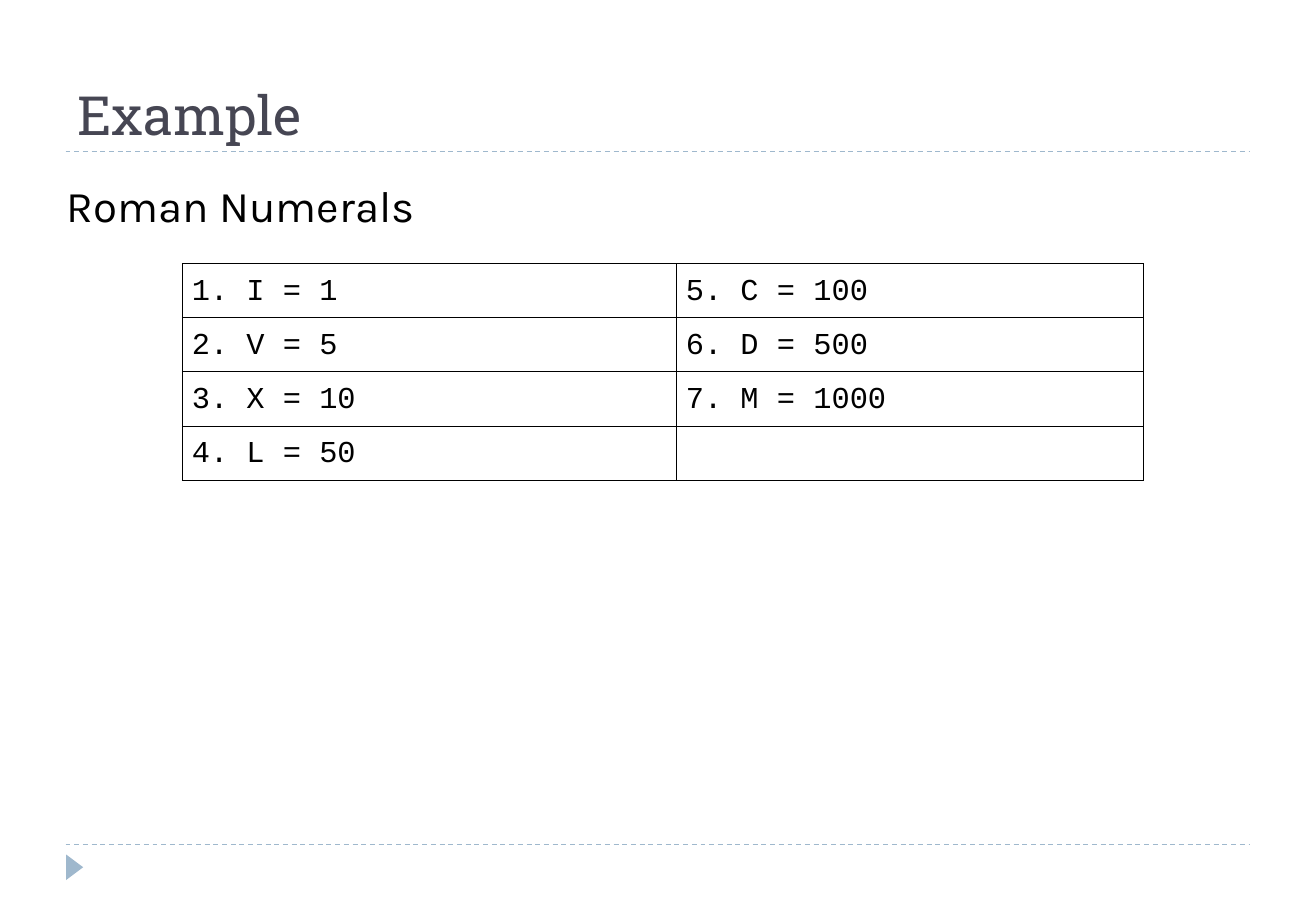
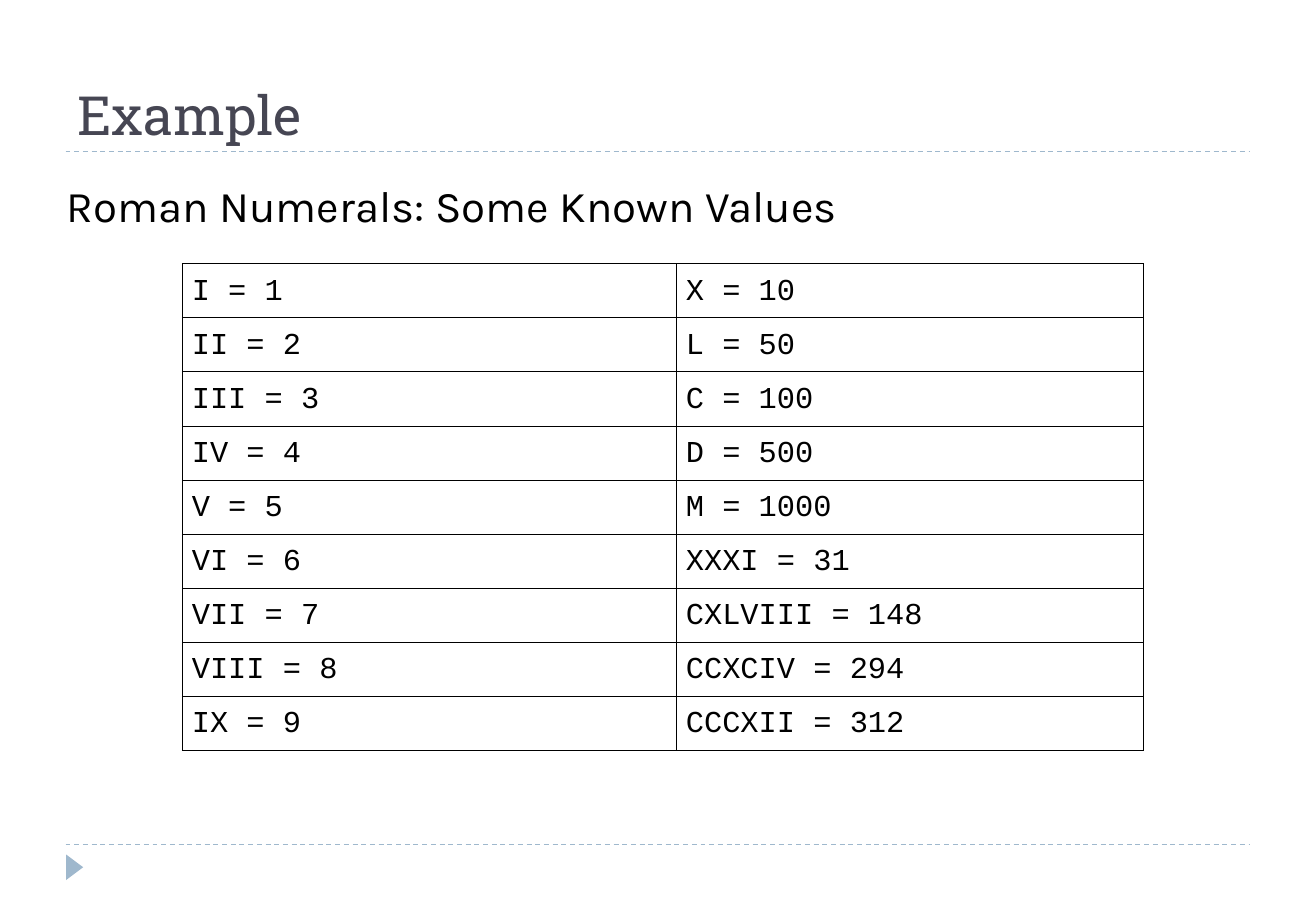
from collections import namedtuple
from dataclasses import dataclass

from lxml import etree
from pptx import Presentation
from pptx import util as u
from pptx.dml.color import RGBColor
from pptx.enum import dml, shapes, text
from pptx.oxml import ns

Box = namedtuple("Box", "left top width height")


@dataclass(frozen=True)
class Theme:
    accent: str = "9FB8CD"
    heading: str = "464653"
    ink: str = "000000"
    title_font: str = "Roboto Slab"
    topic_font: str = "Karla"
    code_font: str = "Courier New"
    title_size: float = 32
    topic_size: float = 26
    code_size: float = 18
    rule_width: float = 0.75
    border_width: float = 0.45


THEME = Theme()
FRAME = Box(0.54, 0.25, 9.75, 6.7)
TITLE = Box(0.54, 0.25, 9.75, 1)
TOPIC = Box(0.45, 1.42, 9.84, 0.58)
NUMERALS = Box(1.5, 2.17, 7.92, 1.75)
ROW_HEIGHT = NUMERALS.height / 4
FIRST_COLUMN = 4.07

# Each slide: topic, left column, right column
SLIDES = [
    ("Roman Numerals",
     ["1. I = 1", "2. V = 5", "3. X = 10", "4. L = 50"],
     ["5. C = 100", "6. D = 500", "7. M = 1000", ""]),
    ("Roman Numerals: Some Known Values",
     ["I = 1", "II = 2", "III = 3", "IV = 4", "V = 5",
      "VI = 6", "VII = 7", "VIII = 8", "IX = 9"],
     ["X = 10", "L = 50", "C = 100", "D = 500", "M = 1000",
      "XXXI = 31", "CXLVIII = 148", "CCXCIV = 294", "CCCXII = 312"]),
]


def inches(box):
    return [u.Inches(length) for length in box]


def apply(target, formats):
    for name, value in formats.items():
        setattr(target, name, value)


def write(paragraph, words, font, size, color):
    run = paragraph.add_run()
    run.text = words
    apply(run.font, {"name": font, "size": u.Pt(size)})
    run.font.color.rgb = RGBColor.from_string(color)


def add_rule(slide, left, top, width):
    rule = slide.shapes.add_connector(
        shapes.MSO_CONNECTOR.STRAIGHT, *inches((left, top, left + width, top)))
    rule.line.color.rgb = RGBColor.from_string(THEME.accent)
    apply(rule.line, {"width": u.Pt(THEME.rule_width),
                      "dash_style": dml.MSO_LINE.DASH})
    etree.SubElement(rule._element.spPr, ns.qn("a:effectLst"))


def add_frame(slide, box):
    # Dashed rules under the title and above the footer
    bottom = box.top + box.height
    for top in (bottom, box.top + TITLE.height):
        add_rule(slide, box.left, top, box.width)

    # Footer marker, turned to point right
    marker = slide.shapes.add_shape(
        shapes.MSO_SHAPE.ISOSCELES_TRIANGLE,
        *inches((box.left - 0.03, bottom + 0.12, 0.21, 0.14)))
    marker.rotation = 90
    marker.shadow.inherit = False
    marker.fill.solid()
    marker.fill.fore_color.rgb = RGBColor.from_string(THEME.accent)
    marker.line.fill.background()


def add_text(slide, box, words, font, size, color, anchor):
    frame = slide.shapes.add_textbox(*inches(box)).text_frame
    apply(frame, {"word_wrap": True, "vertical_anchor": anchor})
    paragraph = frame.paragraphs[0]
    write(paragraph, words, font, size, color)
    return paragraph


def add_title(slide, box, words):
    add_text(slide, box, words, THEME.title_font, THEME.title_size,
             THEME.heading, text.MSO_ANCHOR.BOTTOM)


def add_topic(slide, box, words):
    paragraph = add_text(slide, box, words, THEME.topic_font, THEME.topic_size,
                         THEME.ink, text.MSO_ANCHOR.TOP)
    paragraph.space_before = u.Pt(6)
    properties = paragraph._p.get_or_add_pPr()
    properties.set("marL", str(u.Inches(0.3)))
    properties.set("indent", str(u.Inches(-0.3)))


def style_cell(cell):
    apply(cell, {"margin_left": u.Inches(0.08), "margin_right": u.Inches(0.08),
                 "margin_top": u.Inches(0.05), "margin_bottom": u.Inches(0.05)})
    properties = cell._tc.get_or_add_tcPr()
    for side in ("lnL", "lnR", "lnT", "lnB"):
        border = etree.SubElement(properties, ns.qn(f"a:{side}"),
                                  w=str(u.Pt(THEME.border_width)))
        fill = etree.SubElement(border, ns.qn("a:solidFill"))
        etree.SubElement(fill, ns.qn("a:srgbClr"), val=THEME.ink)
    cell.fill.background()


def add_numerals(slide, box, columns):
    entries = list(zip(*columns))
    height = ROW_HEIGHT * len(entries)
    table = slide.shapes.add_table(
        len(entries), len(columns),
        *inches(box._replace(height=height))).table
    apply(table, {"first_row": False, "horz_banding": False})
    widths = (FIRST_COLUMN, box.width - FIRST_COLUMN)
    for column, width in zip(table.columns, widths):
        column.width = u.Inches(width)
    for row, pair in zip(table.rows, entries):
        row.height = u.Inches(ROW_HEIGHT)
        for cell, entry in zip(row.cells, pair):
            style_cell(cell)
            if entry:
                paragraph = cell.text_frame.paragraphs[0]
                paragraph.line_spacing = 1.15
                write(paragraph, entry, THEME.code_font, THEME.code_size,
                      THEME.ink)


def add_example(deck, topic, *columns):
    slide = deck.slides.add_slide(deck.slide_layouts[6])
    add_frame(slide, FRAME)
    add_title(slide, TITLE, "Example")
    add_topic(slide, TOPIC, topic)
    add_numerals(slide, NUMERALS, columns)


def main():
    deck = Presentation()
    apply(deck, {"slide_width": u.Inches(10.84), "slide_height": u.Inches(7.5)})
    for content in SLIDES:
        add_example(deck, *content)
    deck.save("out.pptx")


if __name__ == "__main__":
    main()
